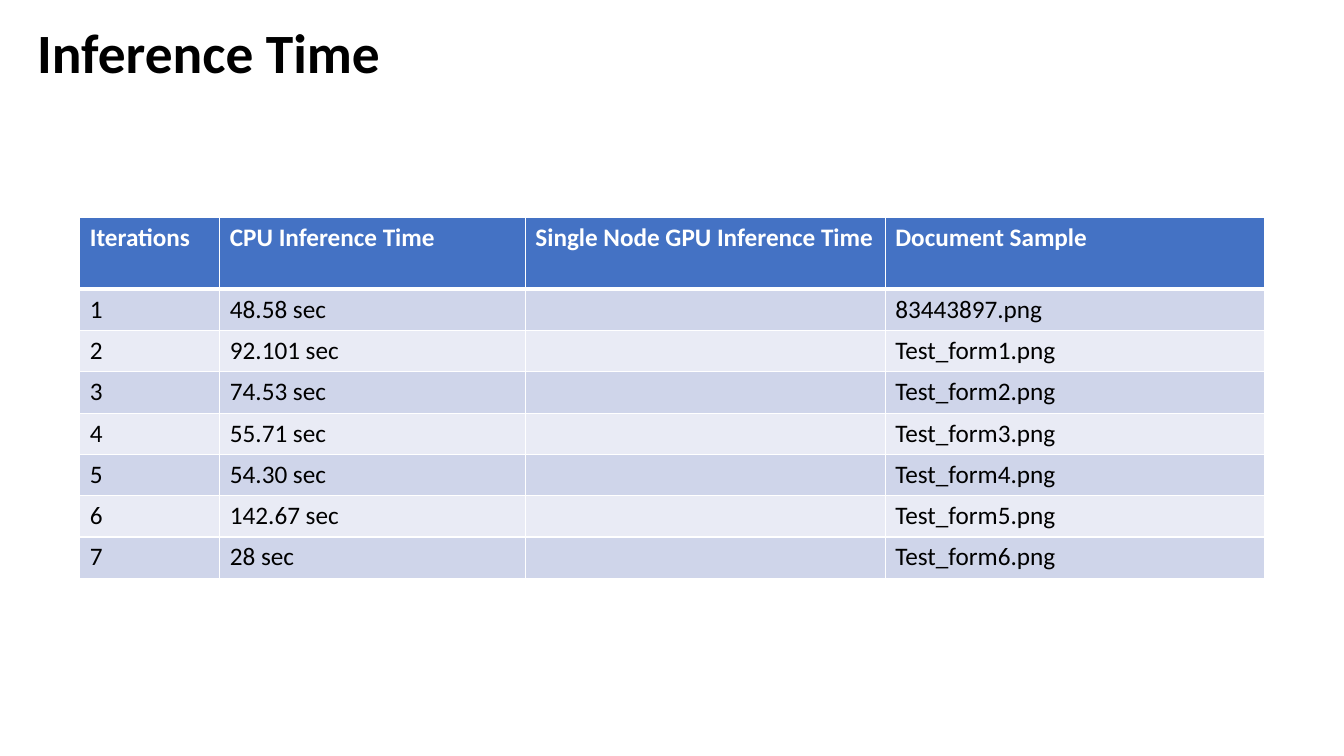
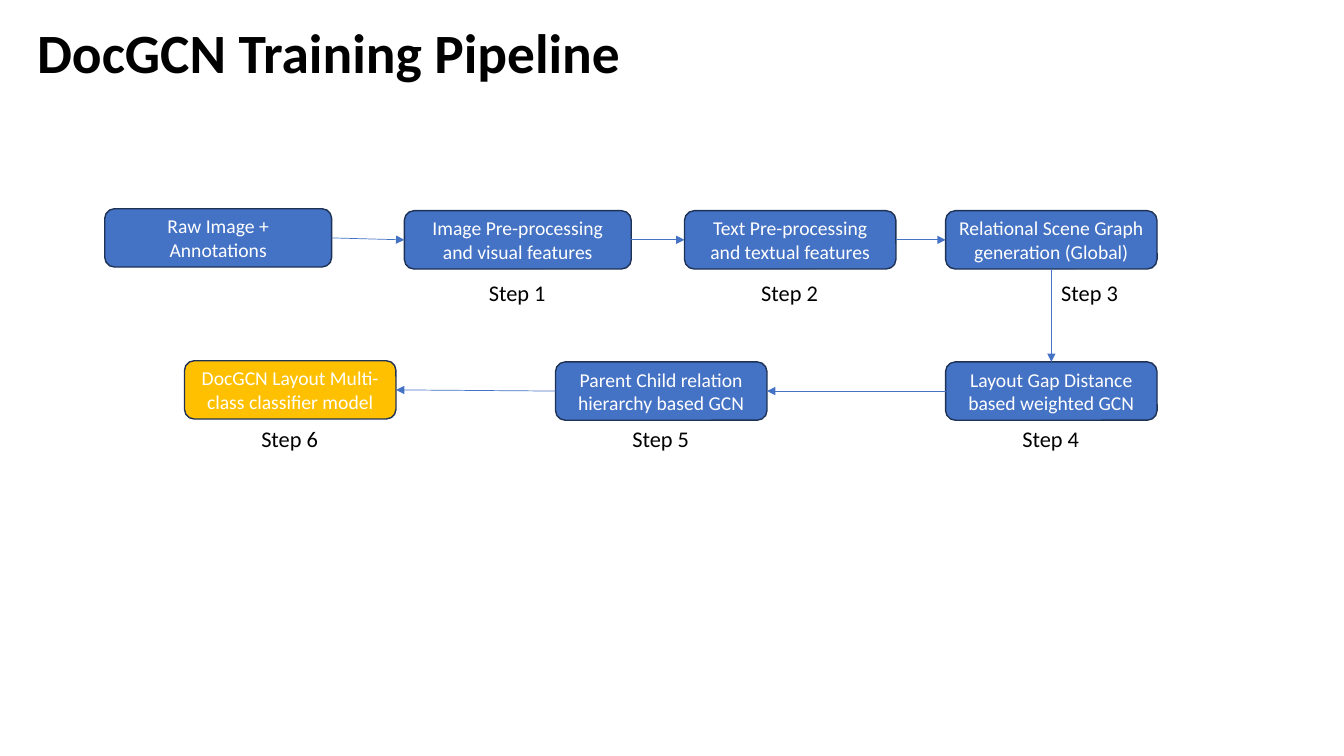
import pptx
import pptx.dml.color
import pptx.enum.shapes
import pptx.enum.text
import pptx.oxml
import pptx.oxml.ns
import pptx.util
from pptx.util import Cm

BLUE, NAVY, GOLD = "4472C4", "1E3256", "FFC000"
BLACK, WHITE = "000000", "FFFFFF"
BANDS = ("CFD5EA", "E9EBF5")
FONT = "Calibri"
TOP, LEFT, BOTTOM, RIGHT = range(4)  # connection sites of a box
ALIGN = pptx.enum.text.PP_ALIGN

TITLE_ONLY = 5


def color(hex_code):
    return pptx.dml.color.RGBColor.from_string(hex_code)


def drawing_element(xml):
    return pptx.oxml.parse_xml(xml.replace(" ", f" {pptx.oxml.ns.nsdecls('a')} ", 1))


class Deck:
    def __init__(self):
        self.prs = pptx.Presentation()
        self.prs.slide_width, self.prs.slide_height = Cm(33.87), Cm(19.05)
        self.slide = None

    def add_text(self, frame, text, size, ink, bold=False, align=ALIGN.LEFT):
        paragraph = frame.paragraphs[0]
        paragraph.alignment = align
        run = paragraph.add_run()
        run.text = text
        run.font.name, run.font.size, run.font.bold = FONT, pptx.util.Pt(size), bold
        run.font.color.rgb = color(ink)
        return paragraph

    def new_slide(self, heading):
        self.slide = self.prs.slides.add_slide(self.prs.slide_layouts[TITLE_ONLY])
        title = self.slide.shapes.title
        title.left, title.top, title.width, title.height = Cm(0.68), Cm(0.48), Cm(29.21), Cm(1.83)
        title.text_frame.auto_size = pptx.enum.text.MSO_AUTO_SIZE.NONE
        title.text_frame.vertical_anchor = pptx.enum.text.MSO_ANCHOR.MIDDLE
        self.add_text(title.text_frame, heading, 39.6, BLACK, bold=True).line_spacing = 0.9

    def border(self, cell, side, points):
        cell._tc.get_or_add_tcPr().append(drawing_element(
            f'<a:ln{side} w="{int(pptx.util.Pt(points))}"><a:solidFill>'
            f'<a:srgbClr val="{WHITE}"/></a:solidFill></a:ln{side}>'))

    def table(self, left, top, widths, header_height, row_height, rows):
        height = header_height + row_height * (len(rows) - 1)
        grid = self.slide.shapes.add_table(
            len(rows), len(widths), Cm(left), Cm(top), Cm(sum(widths)), Cm(height)).table
        grid.horz_banding = False
        for column, width in zip(grid.columns, widths):
            column.width = Cm(width)
        for r, values in enumerate(rows):
            header = r == 0
            grid.rows[r].height = Cm(header_height if header else row_height)
            for c, value in enumerate(values):
                cell = grid.cell(r, c)
                # A thick rule separates the header from the body
                thickness = {"L": 1, "R": 1, "T": 3 if r == 1 else 1, "B": 3 if header else 1}
                for side, points in thickness.items():
                    self.border(cell, side, points)
                cell.fill.solid()
                cell.fill.fore_color.rgb = color(BLUE if header else BANDS[(r - 1) % 2])
                if value:
                    self.add_text(cell.text_frame, value, 18, WHITE if header else BLACK, header)
                else:
                    cell.text_frame.paragraphs[0].font.size = pptx.util.Pt(18)

    def box(self, left, top, width, text, fill=BLUE):
        stage = self.slide.shapes.add_shape(
            pptx.enum.shapes.MSO_SHAPE.ROUNDED_RECTANGLE,
            Cm(left), Cm(top), Cm(width), Cm(1.47))
        stage.shadow.inherit = False
        stage.fill.solid()
        stage.fill.fore_color.rgb = color(fill)
        stage.line.color.rgb = color(NAVY)
        stage.line.width = pptx.util.Pt(1)
        stage.text_frame.word_wrap = True
        stage.text_frame.vertical_anchor = pptx.enum.text.MSO_ANCHOR.MIDDLE
        self.add_text(stage.text_frame, text, 14, WHITE, align=ALIGN.CENTER)
        return stage

    def arrow(self, source, source_site, target, target_site):
        link = self.slide.shapes.add_connector(
            pptx.enum.shapes.MSO_CONNECTOR.STRAIGHT, 0, 0, 0, 0)
        link.begin_connect(source, source_site)
        link.end_connect(target, target_site)
        link.line.color.rgb = color(BLUE)
        link.line.width = pptx.util.Pt(0.5)
        outline = link._element.spPr.find(pptx.oxml.ns.qn("a:ln"))
        outline.append(drawing_element('<a:tailEnd type="triangle"/>'))
        link._element.spPr.append(drawing_element("<a:effectLst />"))

    def label(self, left, top, text):
        caption = self.slide.shapes.add_textbox(left, top, Cm(1.96), Cm(0.94))
        caption.text_frame.word_wrap = False
        caption.text_frame.auto_size = pptx.enum.text.MSO_AUTO_SIZE.SHAPE_TO_FIT_TEXT
        self.add_text(caption.text_frame, text, 16, BLACK)


def inference_time(deck):
    deck.new_slide("Inference Time")
    header = ("Iterations", "CPU Inference Time", "Single Node GPU Inference Time", "Document Sample")
    cpu_times = ("48.58", "92.101", "74.53", "55.71", "54.30", "142.67", "28")
    samples = ["83443897.png"] + [f"Test_form{n}.png" for n in range(1, 7)]
    runs = [(str(n), f"{seconds} sec", "", sample)
            for n, (seconds, sample) in enumerate(zip(cpu_times, samples), 1)]
    deck.table(2.01, 5.49, (3.53, 7.7, 9.07, 9.55), 1.8, 1.04, [header] + runs)


def training_pipeline(deck):
    deck.new_slide("DocGCN Training Pipeline")

    # Stages in order of flow: left, top, width, text, fill
    stages = [deck.box(*stage) for stage in (
        (2.64, 5.26, 5.72, "Raw Image + Annotations"),
        (10.19, 5.31, 5.72, "Image Pre-processing and visual features"),
        (17.25, 5.31, 5.33, "Text Pre-processing and textual features"),
        (23.83, 5.31, 5.33, "Relational Scene Graph generation (Global)"),
        (23.83, 9.12, 5.33, "Layout Gap Distance based weighted GCN"),
        (14, 9.12, 5.33, "Parent Child relation hierarchy based GCN"),
        (4.65, 9.09, 5.33, "DocGCN Layout Multi-class classifier model", GOLD),
    )]

    # Flow: rightwards, down, then back leftwards
    sites = [(RIGHT, LEFT)] * 3 + [(BOTTOM, TOP)] + [(LEFT, RIGHT)] * 2
    for source, target, (leave, enter) in zip(stages, stages[1:], sites):
        deck.arrow(source, leave, target, enter)

    # Step labels sit centred below their stage; step 3 stands beside its arrow
    for step, stage in enumerate(stages[1:], 1):
        middle = stage.left + stage.width // 2
        left = middle if step == 3 else middle - Cm(0.98)
        deck.label(left, Cm(6.9 if step <= 3 else 10.59), f"Step {step}")


def main():
    deck = Deck()
    inference_time(deck)
    training_pipeline(deck)
    deck.prs.save("out.pptx")


if __name__ == "__main__":
    main()
